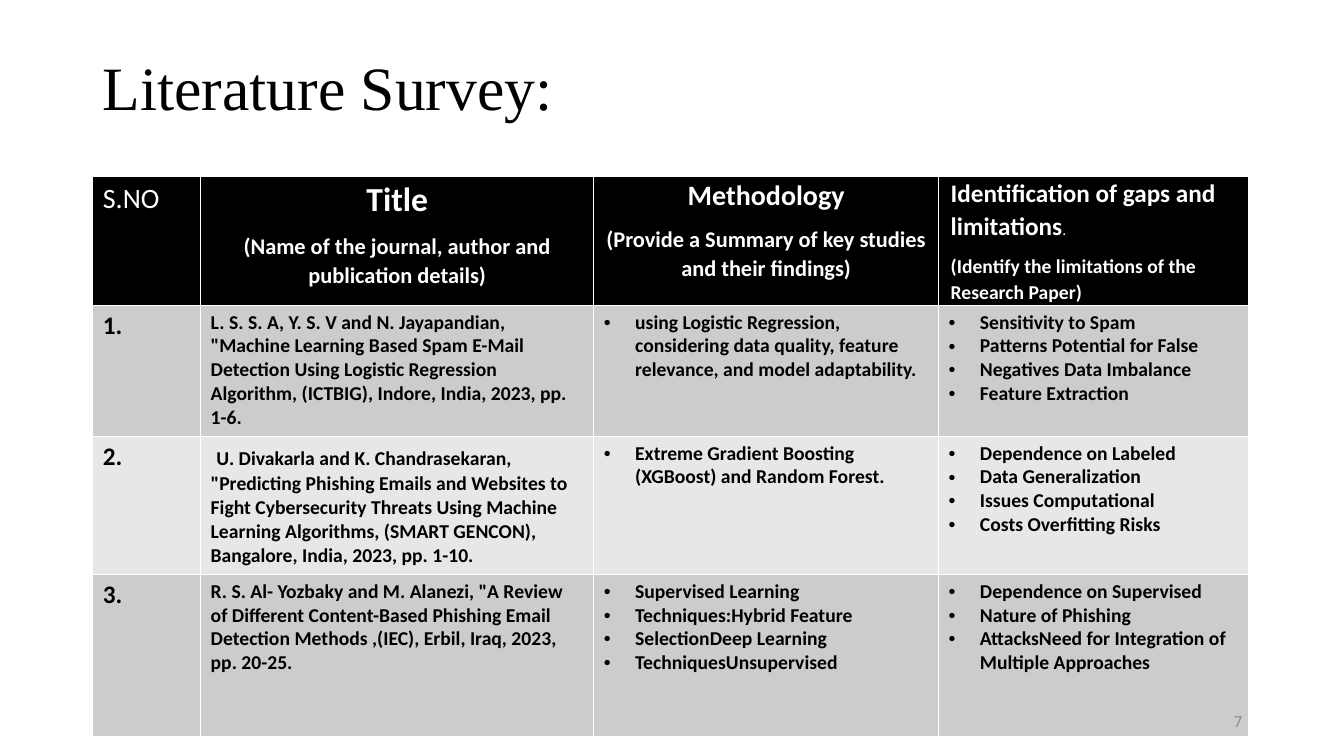
from lxml.etree import SubElement
from pptx import Presentation
from pptx.dml.color import RGBColor
from pptx.enum.text import MSO_ANCHOR, PP_ALIGN
from pptx.oxml.ns import qn
from pptx.util import Inches, Pt

COLORS = {"black": "000000", "white": "FFFFFF", "odd": "CCCCCC",
          "even": "E7E7E7", "number": "8C8C8C"}
COLUMNS = [1.07, 3.9, 3.42, 3.07]
ROWS = [1.28, 1.3, 1.37, 1.61]
LEFT, TOP = 0.92, 1.75
HEADINGS = [
    ("Title", 24, "(Name of the journal, author and publication details)", 16),
    ("Methodology", 20, "(Provide a Summary of key studies and their findings)", 16),
    ("Identification of gaps and limitations", 18,
     "(Identify the limitations of the Research Paper)", 14),
]
PAPERS = [
    ('L. S. S. A, Y. S. V and N. Jayapandian, "Machine Learning Based Spam E-Mail '
     'Detection Using Logistic Regression Algorithm, (ICTBIG), Indore, India, 2023, pp. 1-6.',
     ["using Logistic Regression, considering data quality, feature relevance, "
      "and model adaptability."],
     ["Sensitivity to Spam", "Patterns Potential for False",
      "Negatives Data Imbalance", "Feature Extraction"]),
    ('U. Divakarla and K. Chandrasekaran, "Predicting Phishing Emails and Websites to '
     'Fight Cybersecurity Threats Using Machine Learning Algorithms, (SMART GENCON), '
     'Bangalore, India, 2023, pp. 1-10.',
     ["Extreme Gradient Boosting (XGBoost) and Random Forest."],
     ["Dependence on Labeled", "Data Generalization",
      "Issues Computational", "Costs Overfitting Risks"]),
    ('R. S. Al- Yozbaky and M. Alanezi, "A Review of Different Content-Based Phishing '
     'Email Detection Methods ,(IEC), Erbil, Iraq, 2023, pp. 20-25.',
     ["Supervised Learning", "Techniques:Hybrid Feature",
      "SelectionDeep Learning", "TechniquesUnsupervised"],
     ["Dependence on Supervised", "Nature of Phishing",
      "AttacksNeed for Integration of Multiple Approaches"]),
]


def write(paragraph, text, size=14, bold=True, color="black", font="Calibri",
          align=PP_ALIGN.LEFT, line=None, after=None):
    """Add one formatted run to the paragraph."""
    paragraph.alignment = align
    if line:
        paragraph.line_spacing = line
    if after:
        paragraph.space_after = Pt(after)
    run = paragraph.add_run()
    run.text = text
    run.font.size, run.font.bold, run.font.name = Pt(size), bold, font
    run.font.color.rgb = RGBColor.from_string(COLORS[color])


def write_bullets(frame, items):
    for index, item in enumerate(items):
        paragraph = frame.add_paragraph() if index else frame.paragraphs[0]
        write(paragraph, item)
        properties = paragraph._p.get_or_add_pPr()
        indent = Inches(0.31)
        properties.set("marL", str(indent))
        properties.set("indent", str(-indent))
        SubElement(properties, qn("a:buFont")).set("typeface", "Arial")
        SubElement(properties, qn("a:buChar")).set("char", "•")


deck = Presentation()
deck.slide_width, deck.slide_height = Inches(13.33), Inches(7.5)
slide = deck.slides.add_slide(deck.slide_layouts[5])

title = slide.shapes.title
title.left, title.top = Inches(LEFT), 0
title.width, title.height = Inches(10.74), Inches(1.28)
title.text_frame.vertical_anchor = MSO_ANCHOR.BOTTOM
write(title.text_frame.paragraphs[0], "Literature Survey:", size=44, bold=False,
      font="Times New Roman", line=0.9)

survey = slide.shapes.add_table(len(ROWS), len(COLUMNS), Inches(LEFT), Inches(TOP),
                                Inches(sum(COLUMNS)), Inches(sum(ROWS))).table
for column, width in zip(survey.columns, COLUMNS):
    column.width = Inches(width)
for number, (row, height) in enumerate(zip(survey.rows, ROWS)):
    row.height = Inches(height)
    shade = "black" if number == 0 else "odd" if number % 2 else "even"
    for cell in row.cells:
        cell.fill.solid()
        cell.fill.fore_color.rgb = RGBColor.from_string(COLORS[shade])

write(survey.cell(0, 0).text_frame.paragraphs[0], "S.NO", size=20, bold=False, color="white")
for column, (heading, heading_size, hint, hint_size) in enumerate(HEADINGS, start=1):
    cell = survey.cell(0, column)
    cell.margin_left = cell.margin_right = Inches(0.12)
    cell.margin_top = cell.margin_bottom = 0
    look = {"color": "white", "line": 1.07, "after": 8,
            "align": PP_ALIGN.LEFT if column == len(HEADINGS) else PP_ALIGN.CENTER}
    write(cell.text_frame.paragraphs[0], heading, size=heading_size, **look)
    if column == len(HEADINGS):
        write(cell.text_frame.paragraphs[0], ".", size=11, **look | {"bold": False})
    write(cell.text_frame.add_paragraph(), hint, size=hint_size, **look)

for number, (citation, methods, gaps) in enumerate(PAPERS, start=1):
    frames = [cell.text_frame for cell in survey.rows[number].cells]
    write(frames[0].paragraphs[0], f"{number}.", size=18)
    if number == 2:
        write(frames[1].paragraphs[0], " ", size=18, bold=False)
    write(frames[1].paragraphs[0], citation)
    write_bullets(frames[2], methods)
    write_bullets(frames[3], gaps)

page = slide.shapes.add_textbox(Inches(9.42), Inches(6.95), Inches(3), Inches(0.4)).text_frame
page.word_wrap = True
page.vertical_anchor = MSO_ANCHOR.MIDDLE
write(page.paragraphs[0], "7", size=12, bold=False, color="number", align=PP_ALIGN.RIGHT)

deck.save("out.pptx")
